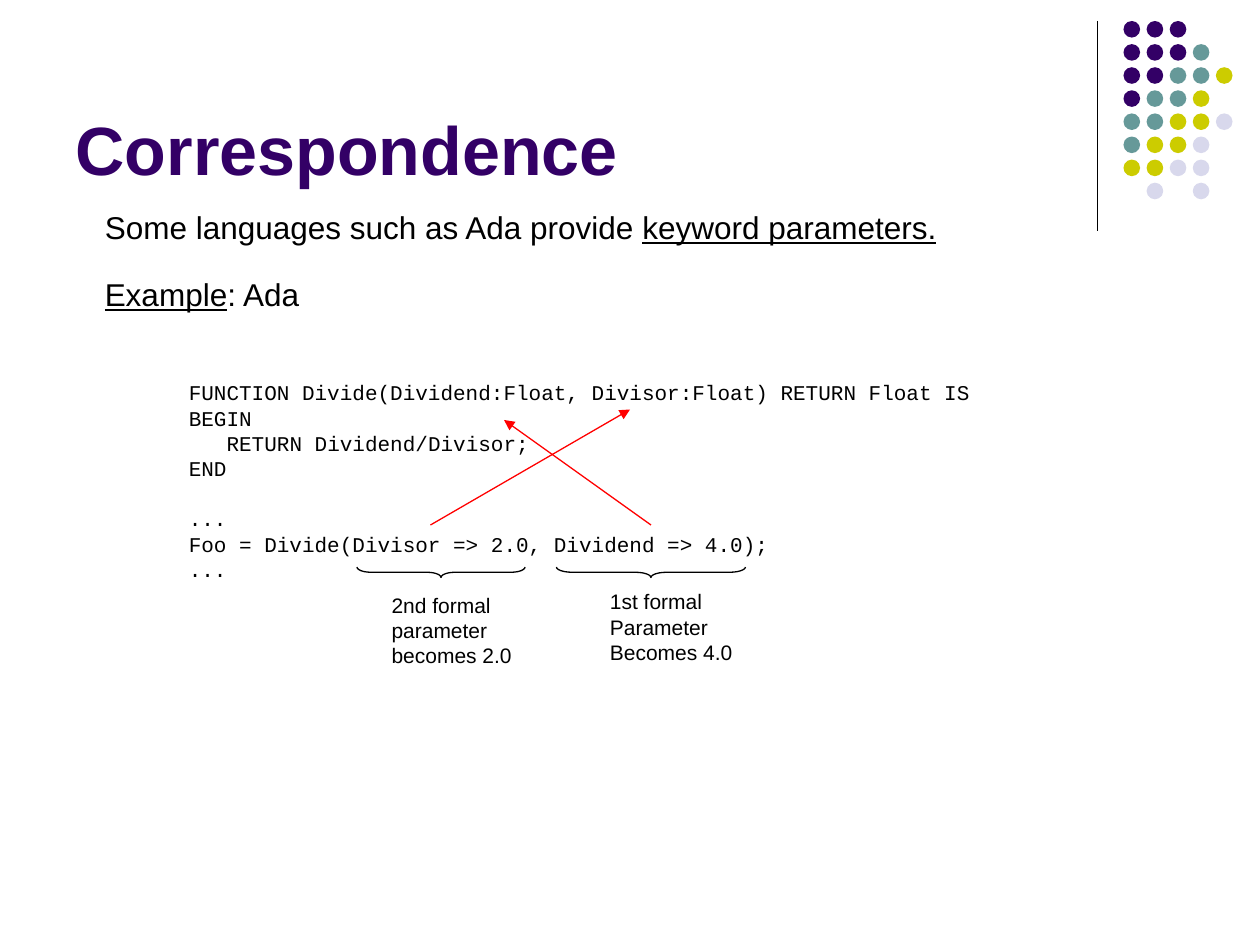
"""Build the slide on keyword parameter correspondence in Ada."""
from dataclasses import dataclass
from typing import NamedTuple

from lxml.etree import SubElement
from pptx import Presentation
from pptx.dml.color import RGBColor as RGB
from pptx.enum.shapes import MSO_CONNECTOR as CONN, MSO_SHAPE as SHAPE
from pptx.enum.text import MSO_ANCHOR as ANCHOR, PP_ALIGN as ALIGN
from pptx.oxml.ns import qn
from pptx.slide import Slide
from pptx.util import Pt


@dataclass(frozen=True)
class Theme:
    """Colours, fonts and type sizes of the slide."""
    ink: RGB = RGB(0, 0, 0)
    purple: RGB = RGB(0x33, 0x00, 0x66)
    teal: RGB = RGB(0x66, 0x99, 0x99)
    lime: RGB = RGB(0xCC, 0xCC, 0x00)
    lilac: RGB = RGB(0xD8, 0xD8, 0xEC)
    red: RGB = RGB(0xFF, 0x00, 0x00)
    sans: str = "Arial"
    mono: str = "Courier New"
    title: float = 39
    body: float = 18
    small: float = 12
    leading: float = 1.2
    line: float = 0.75


class Box(NamedTuple):
    """Left, top, width and height in points."""
    x: float
    y: float
    w: float
    h: float

    def emu(self) -> tuple:
        """Return the four lengths for python-pptx."""
        return tuple(Pt(v) for v in self)


class Run(NamedTuple):
    """A piece of text, underlined or not."""
    text: str
    underline: bool = False


class Para(NamedTuple):
    """A paragraph with its indent and the space before it."""
    runs: tuple
    indent: float = 0
    before: float = 0


class Block(NamedTuple):
    """A text box with one font and size."""
    box: Box
    paras: list
    font: str
    size: float


class Line(NamedTuple):
    """A straight line from one point to another."""
    start: tuple
    end: tuple
    color: RGB
    arrow: bool = False


class Brace(NamedTuple):
    """A brace that opens upwards, by its centre and span."""
    cx: float
    cy: float
    span: float
    depth: float
    curve: float


T = Theme()
DOT_COLORS = {"P": T.purple, "T": T.teal, "L": T.lime, "V": T.lilac}
DOT_ROWS = ("PPP", "PPPT", "PPTTL", "PTTL", "TTLLV", "TLLV", "LLVV", " V V")
DOT_X, DOT_Y, DOT_SIZE, DOT_STEP = 642, 12, 9.5, 13.2


def plain(*lines: str) -> list[Para]:
    """Make simple paragraphs."""
    return [Para((Run(line),)) for line in lines]


BLOCKS = [
    Block(Box(52.8, 115.2, 491, 28.8),
          [Para((Run("Some languages such as Ada provide "), Run("keyword parameters.", True)))],
          T.sans, T.body),
    Block(Box(52.8, 153.6, 126.7, 28.8),
          [Para((Run("Example", True), Run(": Ada")))], T.sans, T.body),
    Block(Box(100.8, 213.6, 468, 122.4), [
        *plain("FUNCTION Divide(Dividend:Float, Divisor:Float) RETURN Float IS", "BEGIN"),
        Para((Run("RETURN Dividend/Divisor;"),), indent=21.6),
        *plain("END"),
        Para((Run("..."),), before=T.small * T.leading),
        *plain("Foo = Divide(Divisor => 2.0, Dividend => 4.0);", "..."),
    ], T.mono, T.small),
    Block(Box(216.7, 334.8, 83.5, 50.4),
          plain("2nd formal", "parameter", "becomes 2.0"), T.sans, T.small),
    Block(Box(341.5, 333, 84.2, 50.4),
          plain("1st formal", "Parameter", "Becomes 4.0"), T.sans, T.small),
]
BRACES = [Brace(252, 327, 96, 6, 1.33), Brace(372, 327, 108, 6, 1.5)]
LINES = [
    Line((627, 12), (627, 132), T.ink),
    Line((246, 300), (360, 234), T.red, True),
    Line((372, 300), (288, 240), T.red, True),
]


def add_dots(s: Slide) -> None:
    """Draw the dot pattern in the corner."""
    for i, row in enumerate(DOT_ROWS):
        for j, key in enumerate(row):
            if key in DOT_COLORS:
                box = Box(DOT_X + j * DOT_STEP, DOT_Y + i * DOT_STEP, DOT_SIZE, DOT_SIZE)
                sp = s.shapes.add_shape(SHAPE.OVAL, *box.emu())
                sp.shadow.inherit = False
                sp.fill.solid()
                sp.fill.fore_color.rgb = DOT_COLORS[key]
                sp.line.fill.background()


def add_title(s: Slide, text: str, box: Box) -> None:
    """Place and format the title placeholder."""
    sp = s.shapes.title
    sp.left, sp.top, sp.width, sp.height = box.emu()
    tf = sp.text_frame
    tf.text = text
    tf.vertical_anchor = ANCHOR.BOTTOM
    p = tf.paragraphs[0]
    p.alignment = ALIGN.LEFT
    f = p.runs[0].font
    f.name, f.size, f.bold, f.color.rgb = T.sans, Pt(T.title), True, T.purple


def add_block(s: Slide, block: Block) -> None:
    """Draw a text box."""
    tf = s.shapes.add_textbox(*block.box.emu()).text_frame
    tf.word_wrap = False
    for i, para in enumerate(block.paras):
        p = tf.add_paragraph() if i else tf.paragraphs[0]
        p.line_spacing = Pt(block.size * T.leading)
        p.space_before = Pt(para.before)
        if para.indent:
            p._p.get_or_add_pPr().set("marL", str(Pt(para.indent)))
        for run in para.runs:
            r = p.add_run()
            r.text = run.text
            f = r.font
            f.name, f.size, f.color.rgb = block.font, Pt(block.size), T.ink
            f.underline = run.underline


def add_brace(s: Slide, brace: Brace) -> None:
    """Draw a left brace turned to point downwards."""
    box = Box(brace.cx - brace.depth / 2, brace.cy - brace.span / 2, brace.depth, brace.span)
    sp = s.shapes.add_shape(SHAPE.LEFT_BRACE, *box.emu())
    sp.rotation = 270
    sp.adjustments[0] = brace.curve
    sp.shadow.inherit = False
    sp.fill.background()
    sp.line.color.rgb, sp.line.width = T.ink, Pt(T.line)


def add_line(s: Slide, line: Line) -> None:
    """Draw a line, with an arrowhead at its end if asked."""
    sp = s.shapes.add_connector(CONN.STRAIGHT, *(Pt(v) for v in line.start + line.end))
    sp.line.color.rgb, sp.line.width = line.color, Pt(T.line)
    if line.arrow:
        SubElement(sp.line._get_or_add_ln(), qn("a:tailEnd"), type="triangle")
    SubElement(sp._element.spPr, qn("a:effectLst"))


def main() -> None:
    """Build and save the slide."""
    prs = Presentation()
    prs.slide_width, prs.slide_height = Pt(720), Pt(540)
    s = prs.slides.add_slide(prs.slide_layouts[5])
    add_dots(s)
    add_title(s, "Correspondence", Box(36, 9.6, 594, 102))
    for draw, items in ((add_block, BLOCKS), (add_brace, BRACES), (add_line, LINES)):
        for item in items:
            draw(s, item)
    prs.save("out.pptx")


if __name__ == "__main__":
    main()
